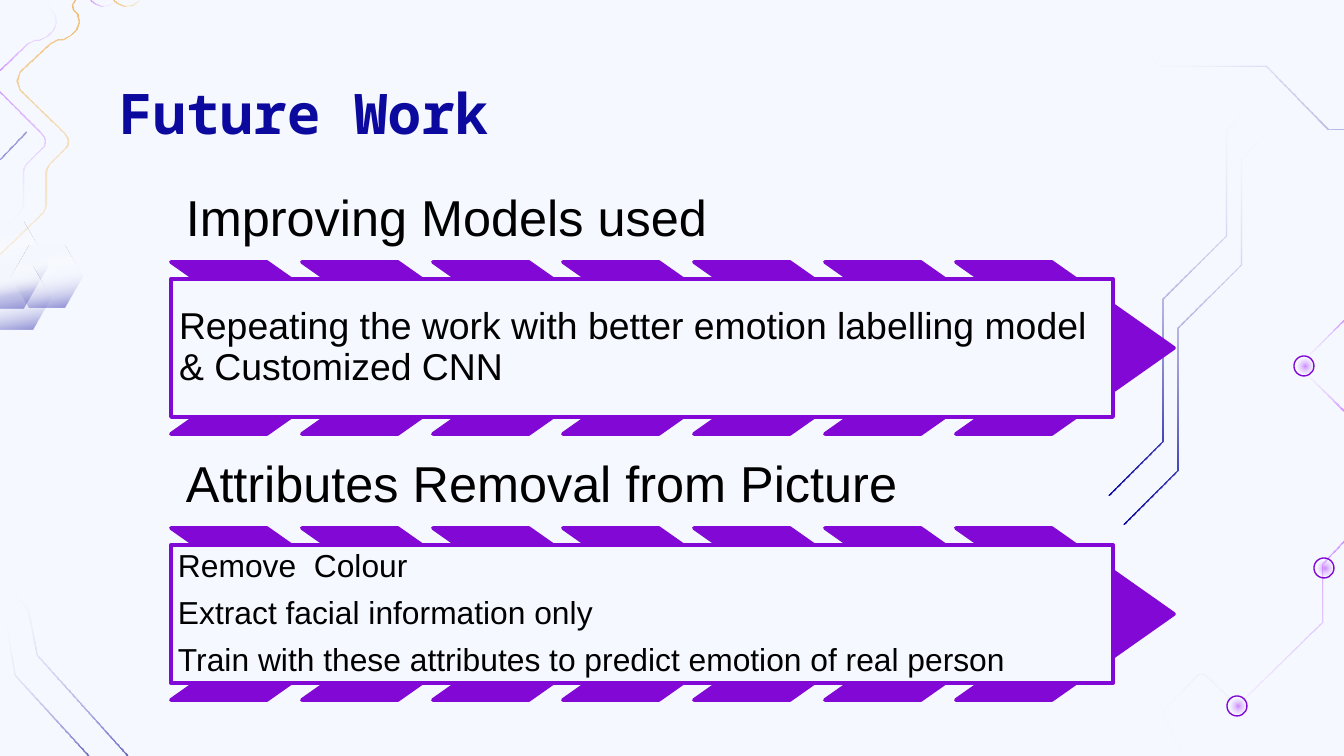
import math

import pptx
import pptx.dml.color
import pptx.enum.shapes
import pptx.enum.text
import pptx.oxml
import pptx.oxml.ns
import pptx.util

SCALE = 914400 / 134.4
SHAPES = pptx.enum.shapes.MSO_SHAPE
ANCHORS = pptx.enum.text.MSO_ANCHOR
PURPLE, NAVY, PALE, BLACK = "8208D5", "0C0A9E", "F5F8FF", "000000"
VIOLET, ORANGE, WHITE = "9900FF", "EB9109", "FFFFFF"
GLOW = [(0, VIOLET, 47), (100, WHITE, 0)]
FADE = [(0, NAVY, 100), (100, WHITE, 0)]
HALF_FADE = [(0, WHITE, 5), (100, "8685CE", 56)]
LOW_FADE = [(0, WHITE, 0), (100, "3D3BB1", 75)]
VIOLET_FADE = [(0, VIOLET, 38), (100, WHITE, 10)]
ORANGE_FADE = [(0, ORANGE, 55), (100, "FFC060", 20)]
HEXAGON_FADE = [(0, PALE, 100), (22, PALE, 100), (45, WHITE, 0), (100, NAVY, 50)]
CIRCUIT = [(1124, 524), (1178, 470), (1178, 328), (1241, 265), (1241, 160),
           (1273, 127), (1331, 127), (1331, 109)]
UPPER_CURVE = [(75, 0), (72, 5), (73, 10), (77, 14), (79, 22), (76, 30), (70, 36),
               (62, 40), (57, 40), (50, 44)]
LOWER_CURVE = [(64, 133), (67, 137), (68, 141), (67, 146), (64, 149), (50, 163),
               (47, 167), (46, 172), (46, 204), (45, 208), (43, 212)]
CURVE_BUMP = [(139, 0), (132, 5), (124, 6), (117, 3), (114, 0)]


def px(length):
    """Turn a length in px into EMU."""
    return pptx.util.Emu(round(length * SCALE))


def color(value):
    """Return the colour for a hex string."""
    return pptx.dml.color.RGBColor.from_string(value)


def shift(points, across, down):
    """Move every point by the same distance."""
    return [(x + across, y + down) for x, y in points]


def fill_gradient(shape, stops, angle=None):
    """Fill a lineless shape with a linear gradient, or a radial one without angle."""
    shape.shadow.inherit = False
    shape.line.fill.background()
    marks = "".join(
        f'<a:gs pos="{place * 1000}"><a:srgbClr val="{value}">'
        f'<a:alpha val="{alpha * 1000}"/></a:srgbClr></a:gs>'
        for place, value, alpha in stops)
    if angle is None:
        course = ('<a:path path="circle"><a:fillToRect l="50000" t="50000" '
                  'r="50000" b="50000"/></a:path>')
    else:
        course = f'<a:lin ang="{angle * 60000}" scaled="0"/>'
    namespace = pptx.oxml.ns.nsdecls("a")
    gradient = pptx.oxml.parse_xml(
        f'<a:gradFill {namespace} rotWithShape="1"><a:gsLst>{marks}</a:gsLst>{course}</a:gradFill>')
    shape._element.spPr.insert(2, gradient)


def add_polygon(page, points, stops, angle):
    """Draw a closed outline with a gradient fill."""
    corners = [(px(x), px(y)) for x, y in points]
    builder = page.shapes.build_freeform(*corners[0], scale=1.0)
    builder.add_line_segments(corners[1:], close=True)
    fill_gradient(builder.convert_to_shape(), stops, angle)


def add_ribbon(page, points, stops, angle, half=0.75):
    """Draw a thin band that follows a line, mitred at its bends."""
    normals = []
    for (x1, y1), (x2, y2) in zip(points, points[1:]):
        length = math.hypot(x2 - x1, y2 - y1)
        normals.append(((y1 - y2) / length, (x2 - x1) / length))
    left, right = [], []
    for (x, y), (ax, ay), (bx, by) in zip(points, normals[:1] + normals, normals + normals[-1:]):
        factor = half / (1 + ax * bx + ay * by)
        across, down = (ax + bx) * factor, (ay + by) * factor
        left.append((x + across, y + down))
        right.append((x - across, y - down))
    add_polygon(page, left + right[::-1], stops, angle)


def add_hexagon(page, left, top, width, height):
    """Draw a shaded hexagon."""
    inset = width / 4
    middle, right, bottom = top + height / 2, left + width, top + height
    points = [(left, middle), (left + inset, top), (right - inset, top),
              (right, middle), (right - inset, bottom), (left + inset, bottom)]
    add_polygon(page, points, HEXAGON_FADE, 80)


def add_node(page, left, top):
    """Draw a ring with a glowing core."""
    ring = page.shapes.add_shape(SHAPES.OVAL, px(left), px(top), px(20), px(20))
    ring.shadow.inherit = False
    ring.fill.background()
    ring.line.color.rgb = color(PURPLE)
    ring.line.width = pptx.util.Pt(0.75)
    core = page.shapes.add_shape(SHAPES.OVAL, px(left + 3), px(top + 3), px(15), px(15))
    fill_gradient(core, GLOW)


def add_block(page, kind, left, top, width, height, fill):
    """Draw a preset shape with a purple line."""
    block = page.shapes.add_shape(kind, px(left), px(top), px(width), px(height))
    block.shadow.inherit = False
    block.fill.solid()
    block.fill.fore_color.rgb = color(fill)
    block.line.color.rgb = color(PURPLE)
    block.line.width = pptx.util.Pt(2)
    return block


def write(box, lines, size, inset, anchor, font="Arial", ink=BLACK, bold=False, spacing=0.9):
    """Put left-aligned paragraphs into a shape."""
    frame = box.text_frame
    frame.word_wrap = True
    frame.vertical_anchor = anchor
    frame.margin_left = frame.margin_right = px(inset)
    frame.margin_top = frame.margin_bottom = px(inset)
    frame.text = "\n".join(lines)
    for index, para in enumerate(frame.paragraphs):
        para.alignment = pptx.enum.text.PP_ALIGN.LEFT
        para.line_spacing = spacing
        if index:
            para.space_before = pptx.util.Pt(6.8)
        for span in para.runs:
            span.font.name = font
            span.font.size = pptx.util.Pt(size)
            span.font.bold = bold
            span.font.color.rgb = color(ink)


def add_text(page, left, top, width, height, lines, *style, **options):
    """Add a text box."""
    box = page.shapes.add_textbox(px(left), px(top), px(width), px(height))
    write(box, lines, *style, **options)


def add_topic(page, top, heading, lines, size, inset):
    """Add a heading above a framed text on a row of chevrons."""
    add_text(page, 171, top, 930, 85, [heading], 27, 15, ANCHORS.BOTTOM)
    for index in range(7):
        left = 171 + round(index * 785 / 6)
        chevron = add_block(page, SHAPES.CHEVRON, left, top + 85, 218, 172, PURPLE)
        chevron.adjustments[0] = 0.71
    panel = add_block(page, SHAPES.RECTANGLE, 171, top + 102, 942, 138, PALE)
    write(panel, lines, size, inset, ANCHORS.MIDDLE)


def add_right_circuits(page):
    """Draw the circuit lines along the right edge."""
    add_ribbon(page, CIRCUIT, FADE, 270)
    add_ribbon(page, shift(CIRCUIT, -15, -29), FADE, 270)
    add_ribbon(page, [(1128, 0), (1128, 33), (1160, 66), (1266, 66), (1328, 129), (1344, 129)],
               HALF_FADE, 0)
    add_ribbon(page, [(1344, 320), (1300, 364), (1300, 367), (1344, 411)], VIOLET_FADE, 180)
    add_ribbon(page, [(1344, 541), (1322, 564), (1322, 622), (1237, 705), (1205, 674),
                      (1198, 674), (1162, 711), (1181, 751), (1179, 756)],
               [(0, VIOLET, 38), (100, WHITE, 0)], 135)
    for left, top in [(1227, 696), (1314, 558), (1294, 356)]:
        add_node(page, left, top)


def add_left_circuits(page):
    """Draw the circuit lines and hexagons along the left edge."""
    add_ribbon(page, [(0, 578), (28, 609), (37, 655), (128, 756)], LOW_FADE, 60)
    add_ribbon(page, [(0, 620), (7, 628), (15, 675), (89, 756)], LOW_FADE, 60)
    for place in [(-51, 222, 99, 86), (-20, 267, 70, 62), (12, 246, 70, 62)]:
        add_hexagon(page, *place)
    add_ribbon(page, UPPER_CURVE + [(20, 72), (17, 81), (20, 90)] + LOWER_CURVE + [(0, 254)],
               ORANGE_FADE, 90)
    add_ribbon(page, CURVE_BUMP, ORANGE_FADE, 0)
    add_ribbon(page, shift(UPPER_CURVE, -23, 0) + [(0, 70)], VIOLET_FADE, 270)
    add_ribbon(page, [(0, 92)] + shift(LOWER_CURVE, -23, 0) + [(0, 231)], VIOLET_FADE, 90)
    add_ribbon(page, shift(CURVE_BUMP, -23, 0), VIOLET_FADE, 0)
    add_ribbon(page, [(0, 159), (26, 132)], [(0, NAVY, 40), (100, NAVY, 37)], 0)


def main():
    """Build the slide and save it."""
    deck = pptx.Presentation()
    deck.slide_width, deck.slide_height = px(1344), px(756)
    page = deck.slides.add_slide(deck.slide_layouts[6])
    page.background.fill.solid()
    page.background.fill.fore_color.rgb = color(PALE)
    add_right_circuits(page)
    add_left_circuits(page)
    add_text(page, 106, 66, 1133, 85, ["Future Work"], 30, 13, ANCHORS.TOP,
             font="Noto Sans Mono", ink=NAVY, bold=True, spacing=1.0)
    add_topic(page, 177, "Improving Models used",
              ["Repeating the work with better emotion labelling model & Customized CNN"], 20, 8)
    add_topic(page, 443, "Attributes Removal from Picture",
              ["Remove  Colour", "Extract facial information only",
               "Train with these attributes to predict emotion of real person"], 17, 7)
    deck.save("out.pptx")


if __name__ == "__main__":
    main()
